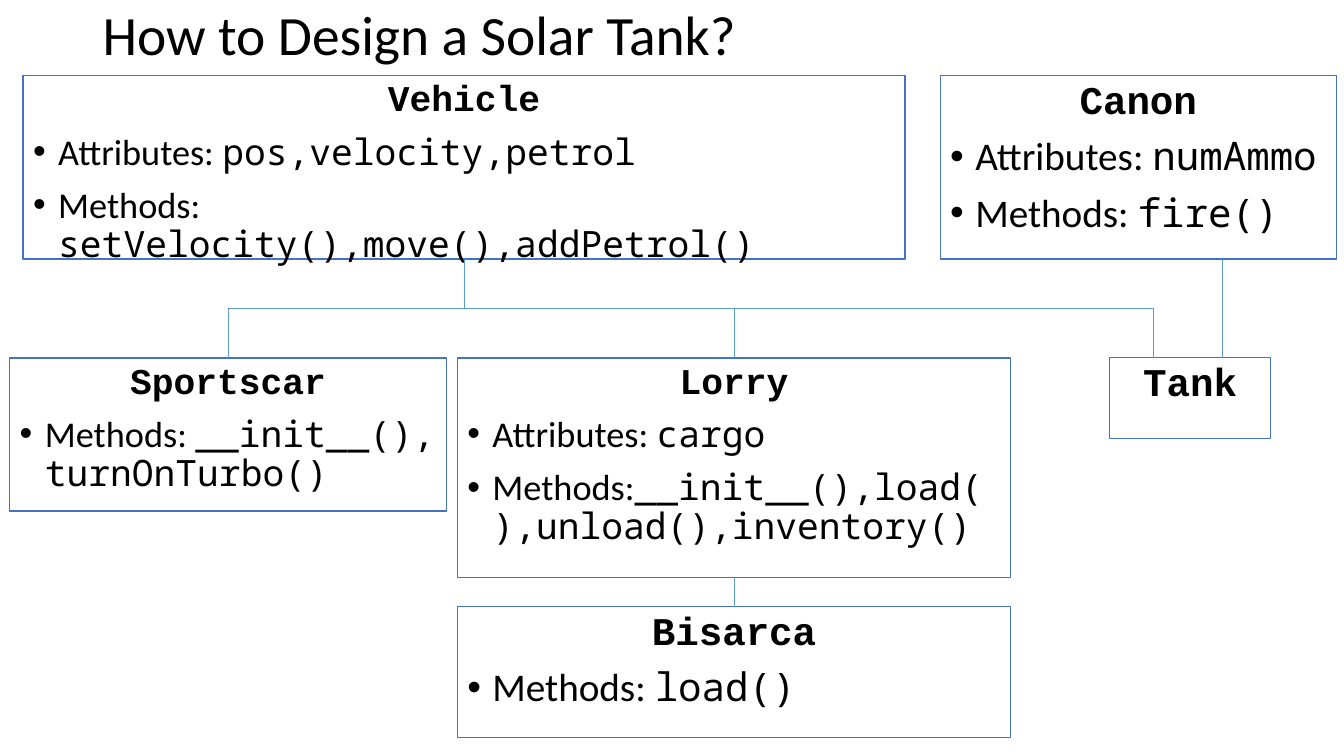
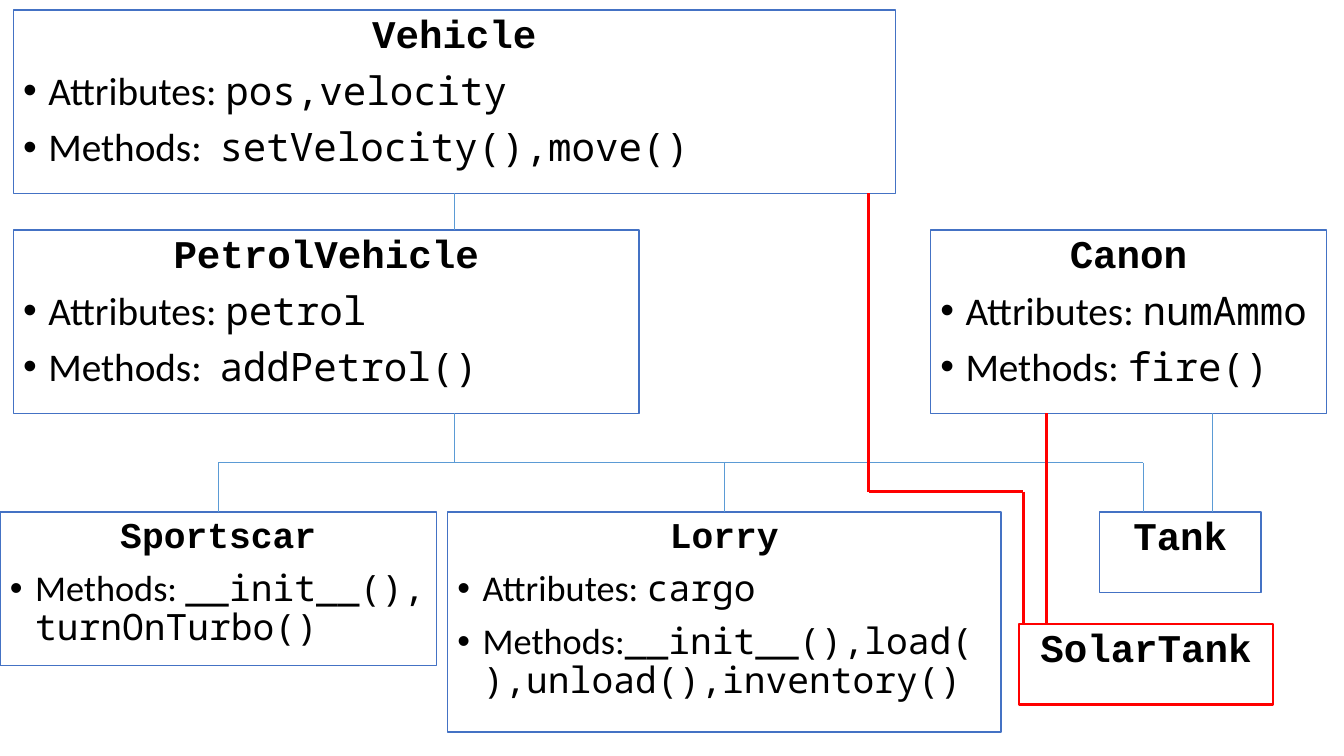
from lxml import etree
from pptx import Presentation
from pptx import util as u
from pptx.dml import color
from pptx.enum import shapes, text
from pptx.oxml import ns

Pt = u.Pt
INK, PAPER, EDGE, LINK, NEW = "000000", "FFFFFF", "4472C4", "5B9BD5", "FF0000"
LABEL_FONT, NAME_FONT, CODE_FONT = "Calibri", "Courier New", "Noto Sans Mono"
SMALL, LARGE = 25.9, 28
BOTTOM, TOP = 2, 0
CLASS_HEIGHT, CHILD_TOP, SHORT_HEIGHT = 131, 201.6, 57.6
VEHICLE_LEFT, VEHICLE_WIDTH = 9.5, 630
LORRY_LEFT, LORRY_WIDTH, LORRY_HEIGHT = 319.7, 395.3, 157
TRUNK_X = VEHICLE_LEFT + VEHICLE_WIDTH / 2
BUS_Y = (CLASS_HEIGHT + CHILD_TOP) / 2
SPACING = {"line_spacing": 0.9, "space_before": Pt(10)}


def rgb(code):
    """Turn a hex string into a colour."""
    return color.RGBColor.from_string(code)


def apply(part, values):
    """Set each format value on a part."""
    for name, value in values.items():
        setattr(part, name, value)


def paint(fill, code):
    """Fill with one solid colour."""
    fill.solid()
    fill.fore_color.rgb = rgb(code)


def stroke(line, code, weight):
    """Give a line its colour and weight."""
    paint(line.fill, code)
    line.width = Pt(weight)


def add_run(paragraph, wording, font, size, bold=False):
    """Add one run of text to a paragraph."""
    run = paragraph.add_run()
    run.text = wording
    apply(run.font, {"name": font, "size": Pt(size), "bold": bold})
    run.font.color.rgb = rgb(INK)


def add_bullet(paragraph):
    """Give a paragraph a hanging bullet."""
    properties = paragraph._p.get_or_add_pPr()
    properties.set("marL", str(Pt(18)))
    properties.set("indent", str(Pt(-18)))
    etree.SubElement(properties, ns.qn("a:buFont"), typeface="Arial")
    etree.SubElement(properties, ns.qn("a:buChar"), char="•")


def draw_title(slide, box, wording):
    """Write the slide title in its box."""
    frame = slide.shapes.add_textbox(*map(Pt, box)).text_frame
    apply(frame, {"word_wrap": True, "vertical_anchor": text.MSO_ANCHOR.MIDDLE})
    heading = frame.paragraphs[0]
    heading.line_spacing = 0.9
    add_run(heading, wording, LABEL_FONT, 39.6)


def draw_class(slide, box, name, members=(), size=LARGE, edge=(EDGE, 1)):
    """Draw a class box with its name and bulleted members."""
    card = slide.shapes.add_shape(shapes.MSO_SHAPE.RECTANGLE, *map(Pt, box))
    card.shadow.inherit = False
    paint(card.fill, PAPER)
    stroke(card.line, *edge)
    frame = card.text_frame
    apply(frame, {"word_wrap": True, "vertical_anchor": text.MSO_ANCHOR.TOP})
    heading = frame.paragraphs[0]
    apply(heading, {**SPACING, "alignment": text.PP_ALIGN.CENTER})
    add_run(heading, name, NAME_FONT, size, True)
    for label, code in members:
        member = frame.add_paragraph()
        apply(member, {**SPACING, "alignment": text.PP_ALIGN.LEFT})
        add_bullet(member)
        add_run(member, label, LABEL_FONT, size)
        add_run(member, code, CODE_FONT, size)
    return card


def draw_link(slide, start, end, parent=None, child=None, style=(LINK, 0.5)):
    """Draw a line, joined to the parent's bottom or the child's top if given."""
    link = slide.shapes.add_connector(
        shapes.MSO_CONNECTOR.STRAIGHT, *map(Pt, (*start, *end)))
    if parent is not None:
        link.begin_connect(parent, BOTTOM)
    if child is not None:
        link.end_connect(child, TOP)
    stroke(link.line, *style)
    etree.SubElement(link._element.spPr, ns.qn("a:effectLst"))


def draw_family(slide, left, top, trunk_parent=None):
    """Draw the vehicle subclasses, the canon and their links from a corner."""
    child_y, bus_y, parent_y = top + CHILD_TOP, top + BUS_Y, top + CLASS_HEIGHT
    sportscar = draw_class(
        slide, (left, child_y, 311.8, 109.4), "Sportscar",
        [("Methods: ", "__init__(), turnOnTurbo()")], SMALL)
    lorry = draw_class(
        slide, (left + LORRY_LEFT, child_y, LORRY_WIDTH, LORRY_HEIGHT), "Lorry",
        [("Attributes: ", "cargo"),
         ("Methods:", "__init__(),load(),unload(),inventory()")], SMALL)
    draw_class(slide, (left + 664.6, top, 283, CLASS_HEIGHT), "Canon",
               [("Attributes: ", "numAmmo"), ("Methods: ", "fire()")])
    draw_class(slide, (left + 785.5, child_y, 115.2, SHORT_HEIGHT), "Tank")
    trunk_x, canon_x, tank_x = left + TRUNK_X, left + 866.2, left + 816.5
    sportscar_x, lorry_x = left + 155.9, left + LORRY_LEFT + LORRY_WIDTH / 2
    draw_link(slide, (canon_x, parent_y), (canon_x, child_y))
    draw_link(slide, (trunk_x, parent_y), (trunk_x, bus_y), trunk_parent)
    draw_link(slide, (sportscar_x, bus_y), (tank_x, bus_y))
    for x, child in ((sportscar_x, sportscar), (lorry_x, lorry), (tank_x, None)):
        draw_link(slide, (x, bus_y), (x, child_y), child=child)
    return lorry


def draw_solar_tank(slide, left, top):
    """Draw the new solar tank class and its two parent links."""
    red = (NEW, 2)
    route = [(left - 107.3, 138.2), (left - 107.3, top - 94.5),
             (left + 2.9, top - 94.5), (left + 2.9, top)]
    for start, end in zip(route, route[1:]):
        draw_link(slide, start, end, style=red)
    draw_link(slide, (left + 19.4, top - 150.5), (left + 19.4, top), style=red)
    draw_class(slide, (left, top, 181.4, SHORT_HEIGHT), "SolarTank", edge=red)


def build_question(slide):
    """Build the slide with the first class hierarchy."""
    left, top = 7, 54
    draw_title(slide, (66.2, 0, 725.8, 54), "How to Design a Solar Tank?")
    vehicle = draw_class(
        slide, (left + VEHICLE_LEFT, top, VEHICLE_WIDTH, CLASS_HEIGHT), "Vehicle",
        [("Attributes: ", "pos,velocity,petrol"),
         ("Methods:  ", "setVelocity(),move(),addPetrol()")], SMALL)
    lorry = draw_family(slide, left, top, vehicle)
    lorry_left, bisarca_top = left + LORRY_LEFT, 433.4
    bisarca = draw_class(slide, (lorry_left, bisarca_top, LORRY_WIDTH, 93.6),
                         "Bisarca", [("Methods: ", "load()")])
    middle = lorry_left + LORRY_WIDTH / 2
    draw_link(slide, (middle, top + CHILD_TOP + LORRY_HEIGHT),
              (middle, bisarca_top), lorry, bisarca)


def build_answer(slide):
    """Build the slide with the petrol class split off."""
    top, vehicle_top = 164.2, 7.2
    draw_class(slide, (VEHICLE_LEFT, top, 447, CLASS_HEIGHT), "PetrolVehicle",
               [("Attributes: ", "petrol"), ("Methods:  ", "addPetrol()")])
    draw_family(slide, 0, top)
    vehicle = draw_class(
        slide, (VEHICLE_LEFT, vehicle_top, VEHICLE_WIDTH, CLASS_HEIGHT), "Vehicle",
        [("Attributes: ", "pos,velocity"), ("Methods:  ", "setVelocity(),move()")])
    draw_link(slide, (TRUNK_X, vehicle_top + CLASS_HEIGHT), (TRUNK_X, top), vehicle)
    draw_solar_tank(slide, 727.9, 445.7)


def main():
    """Build and save the presentation."""
    deck = Presentation()
    apply(deck, {"slide_width": Pt(960), "slide_height": Pt(540)})
    for build in (build_question, build_answer):
        build(deck.slides.add_slide(deck.slide_layouts[6]))
    deck.save("out.pptx")


if __name__ == "__main__":
    main()
